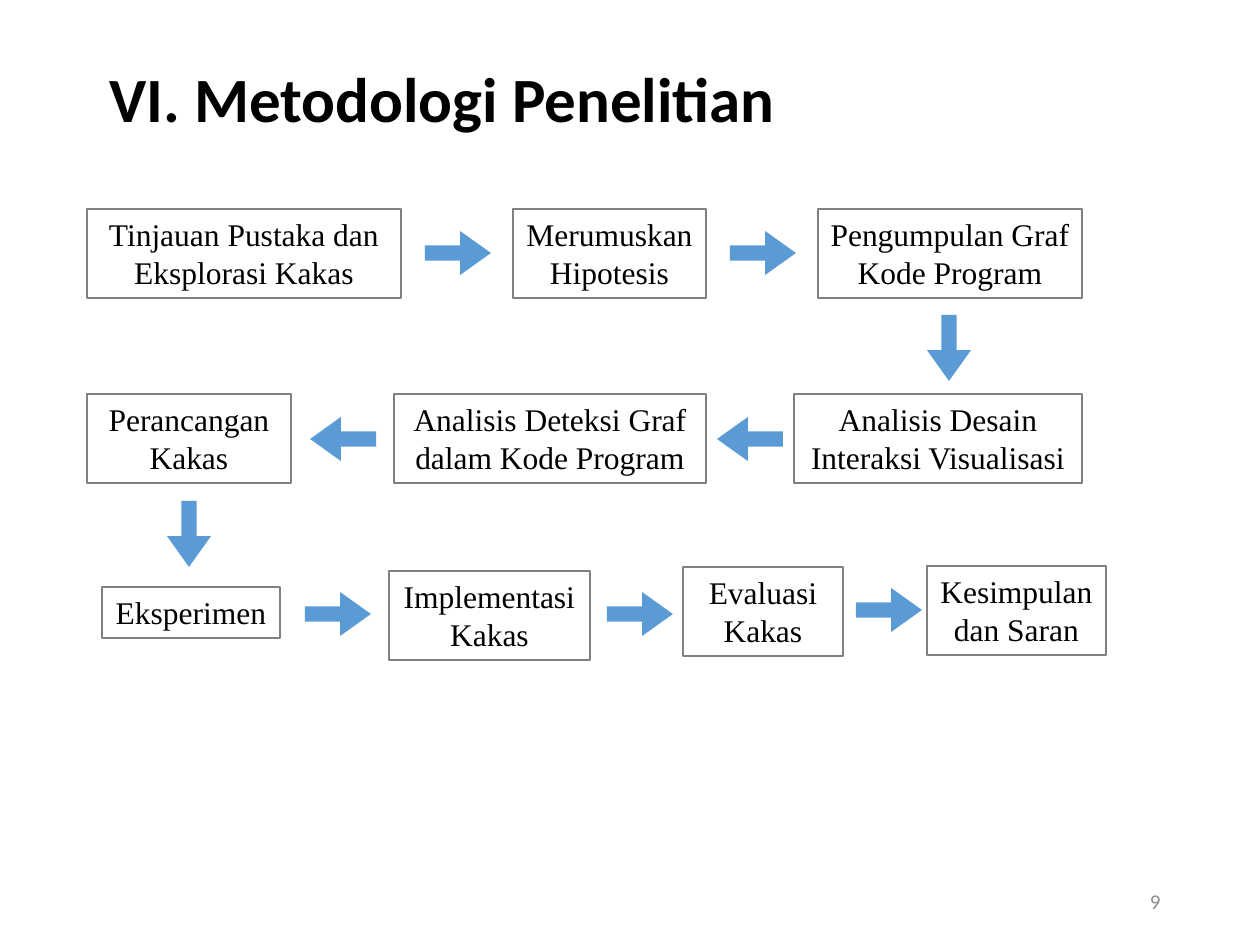
import pptx
import pptx.util
import pptx.dml.color
import pptx.enum.shapes
import pptx.enum.text

PX = 914400 // 126
SHAPE = pptx.enum.shapes.MSO_SHAPE
ALIGN = pptx.enum.text.PP_ALIGN
ANCHOR = pptx.enum.text.MSO_ANCHOR

STEPS = [
    ("Tinjauan Pustaka dan Eksplorasi Kakas", 0, 0, 314, 89),
    ("Merumuskan Hipotesis", 426, 0, 193, 89),
    ("Pengumpulan Graf Kode Program", 731, 0, 264, 89),
    ("Analisis Desain Interaksi Visualisasi", 707, 185, 288, 89),
    ("Analisis Deteksi Graf dalam Kode Program", 307, 185, 312, 89),
    ("Perancangan Kakas", 0, 185, 204, 89),
    ("Eksperimen", 15, 378, 178, 51),
    ("Implementasi Kakas", 302, 362, 201, 89),
    ("Evaluasi Kakas", 596, 358, 160, 89),
    ("Kesimpulan dan Saran", 840, 357, 179, 89),
]
ARROWS = [
    (338, 22, 0), (643, 22, 0), (829, 117, 90),
    (630, 208, 180), (223, 208, 180), (69, 303, 90),
    (218, 383, 0), (520, 383, 0), (769, 379, 0),
]


def tint(code):
    return pptx.dml.color.RGBColor.from_string(code)


def area(left, top, wide, high):
    return [n * PX for n in (left, top, wide, high)]


def write(frame, text, face, size, shade, align, anchor, bold=False):
    frame.word_wrap = True
    frame.vertical_anchor = anchor
    para = frame.paragraphs[0]
    para.text = text
    para.alignment = align
    para.font.name = face
    para.font.size = pptx.util.Pt(size)
    para.font.bold = bold
    para.font.color.rgb = tint(shade)


def title(slide, box):
    label = slide.shapes.add_textbox(*area(*box))
    write(label.text_frame, "VI. Metodologi Penelitian", "Calibri", 36,
          "000000", ALIGN.LEFT, ANCHOR.MIDDLE, True)


def footer(slide, box):
    label = slide.shapes.add_textbox(*area(*box))
    write(label.text_frame, "9", "Calibri", 12, "8C8C8C", ALIGN.RIGHT, ANCHOR.MIDDLE)


def step(slide, text, box):
    shape = slide.shapes.add_shape(SHAPE.RECTANGLE, *area(*box))
    shape.shadow.inherit = False
    shape.fill.background()
    shape.line.color.rgb = tint("808080")
    shape.line.width = pptx.util.Pt(0.75)
    write(shape.text_frame, text, "Times New Roman", 18, "000000",
          ALIGN.CENTER, ANCHOR.TOP)


def arrow(slide, box, turn):
    shape = slide.shapes.add_shape(SHAPE.RIGHT_ARROW, *area(*box))
    shape.shadow.inherit = False
    shape.adjustments[0] = 0.35
    shape.adjustments[1] = 0.7
    shape.rotation = turn
    shape.fill.solid()
    shape.fill.fore_color.rgb = tint("5B9BD5")
    shape.line.fill.background()


def flow(slide, left, top):
    for text, x, y, wide, high in STEPS:
        step(slide, text, (left + x, top + y, wide, high))
    for x, y, turn in ARROWS:
        arrow(slide, (left + x, top + y, 66, 44), turn)


def main():
    deck = pptx.Presentation()
    deck.slide_width = pptx.util.Inches(10)
    deck.slide_height = pptx.util.Inches(7.5)
    slide = deck.slides.add_slide(deck.slide_layouts[6])
    title(slide, (97, 44, 1086, 106))
    footer(slide, (890, 876, 283, 50))
    flow(slide, 87, 209)
    deck.save("out.pptx")


if __name__ == "__main__":
    main()
